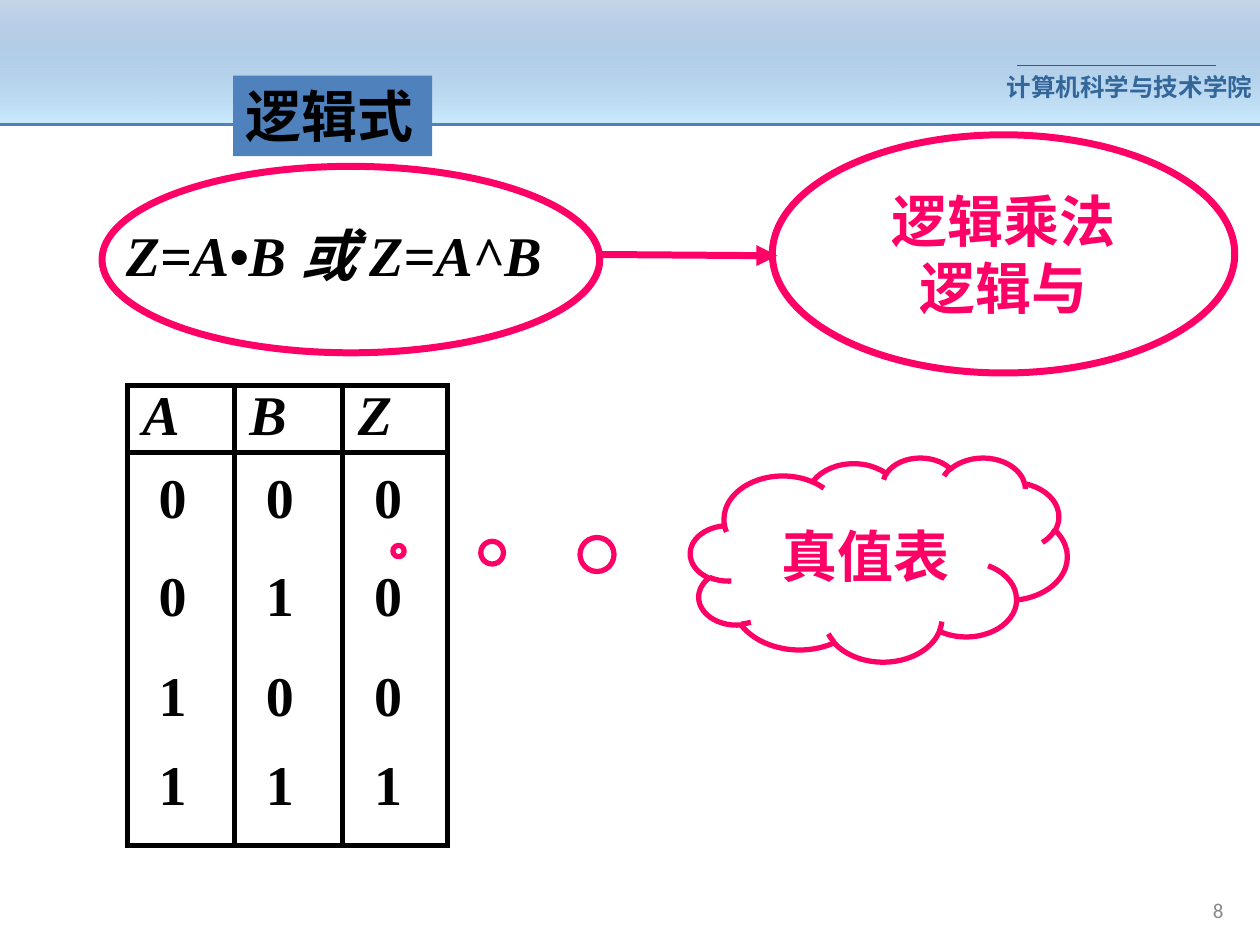
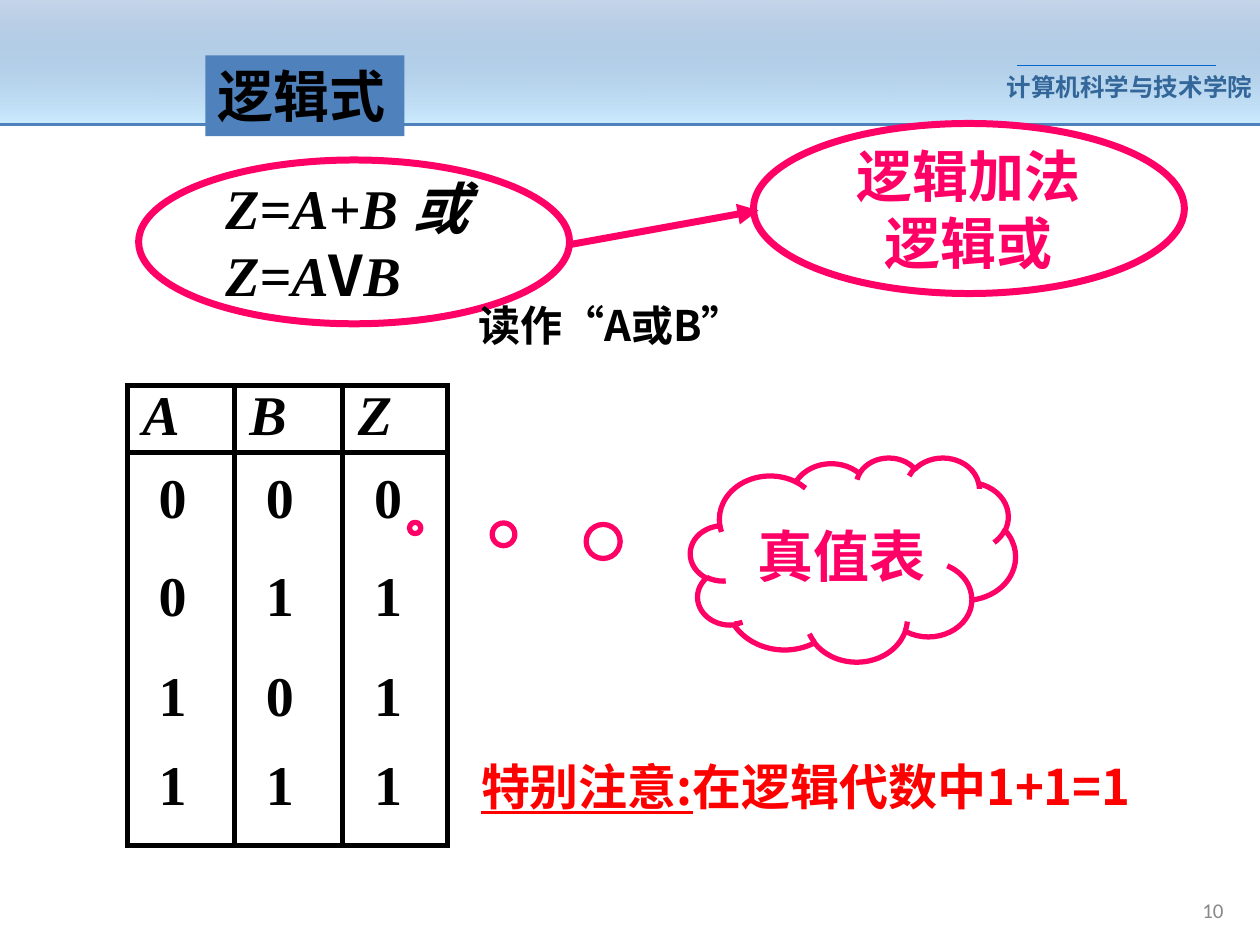
import pptx
import pptx.dml.color
import pptx.enum.shapes
import pptx.enum.text
import pptx.oxml
import pptx.oxml.ns
import pptx.util
from dataclasses import dataclass

Inches = pptx.util.Inches
Pt = pptx.util.Pt
SHAPE = pptx.enum.shapes.MSO_SHAPE
ALIGN = pptx.enum.text.PP_ALIGN
ANCHOR = pptx.enum.text.MSO_ANCHOR
NS = pptx.oxml.ns.nsdecls("a")


@dataclass(frozen=True)
class Theme:
    # Colours
    ink: str = "000000"
    pink: str = "FF0066"
    red: str = "FF0000"
    blue: str = "4F81BD"
    sky: str = "CCECFF"
    school: str = "336699"
    school_rule: str = "0066CC"
    muted: str = "898989"
    # Fonts
    serif: str = "Times New Roman"
    hans: str = "Noto Sans CJK SC"
    sans: str = "Arial"
    number: str = "Calibri"
    # Type sizes
    main: int = 32
    notice: int = 28
    reading: int = 24
    school_size: int = 14
    number_size: int = 12


THEME = Theme()


def rgb(value):
    return pptx.dml.color.RGBColor.from_string(value)


def xml(markup):
    return pptx.oxml.parse_xml(markup)


def write(frame, lines, *, size=THEME.main, font=THEME.serif, color=THEME.ink,
          bold=True, italic=False, align=ALIGN.LEFT, anchor=ANCHOR.TOP,
          wrap=True, inset=0.1):
    """Fill a frame; a line is a string or a list of (text, overrides) runs."""
    frame.word_wrap = wrap
    frame.auto_size = pptx.enum.text.MSO_AUTO_SIZE.NONE
    frame.vertical_anchor = anchor
    frame.margin_left = frame.margin_right = Inches(inset)
    frame.margin_top = frame.margin_bottom = Inches(0.05)
    for index, line in enumerate(lines):
        paragraph = frame.add_paragraph() if index else frame.paragraphs[0]
        paragraph.alignment = align
        for text, changes in [(line, {})] if isinstance(line, str) else line:
            run = paragraph.add_run()
            run.text = text
            run.font.size = Pt(size)
            run.font.bold = bold
            run.font.italic = changes.get("italic", italic)
            run.font.underline = changes.get("underline")
            run.font.color.rgb = rgb(color)
            run.font.name = changes.get("font", font)
            run.font._element.append(
                xml(f'<a:ea {NS} typeface="{THEME.hans}"/>'))


class Deck:
    def __init__(self, theme):
        self.theme = theme
        self.prs = pptx.Presentation()
        self.prs.slide_width, self.prs.slide_height = Inches(10), Inches(7.5)
        self.layout = self.prs.slide_layouts[5]
        self.slide = None

    def start(self, title, left, top, number):
        first = self.slide is None
        self.slide = self.prs.slides.add_slide(self.layout)
        if first:
            self.header()
        heading = self.slide.shapes.title
        heading.left, heading.top = Inches(left), Inches(top)
        heading.width, heading.height = Inches(1.58), Inches(0.64)
        heading.fill.solid()
        heading.fill.fore_color.rgb = rgb(self.theme.blue)
        write(heading.text_frame, [title])
        self.text([number], 7.6, 7.06, 2.21, 0.32, size=self.theme.number_size,
                  font=self.theme.number, color=self.theme.muted, bold=False,
                  align=ALIGN.RIGHT, anchor=ANCHOR.MIDDLE)

    def header(self):
        """Draw the band once and keep it on the shared layout."""
        t = self.theme
        band = self.shape(SHAPE.RECTANGLE, 0, 0, 10, 0.99)
        band.fill.gradient()
        band.fill.gradient_angle = 270
        for stop, color in zip(band.fill.gradient_stops, (t.blue, t.sky)):
            stop.color.rgb = rgb(color)
        top_color = band.element.find(".//" + pptx.oxml.ns.qn("a:srgbClr"))
        top_color.append(xml(f'<a:alpha {NS} val="32000"/>'))
        school = self.text(["计算机科学与技术学院"], 7.99, 0.52, 1.97, 0.34,
                           size=t.school_size, font=t.sans, color=t.school,
                           inset=0)
        school_rule = self.line(8.07, 0.52, 9.65, 0.52, t.school_rule, 0.75)
        band_edge = self.line(0, 0.99, 10, 0.99, t.blue, 1.5)
        for part in (band, school, school_rule, band_edge):
            self.layout.shapes.element.append(part.element)

    def text(self, lines, left, top, width, height, **fmt):
        box = self.slide.shapes.add_textbox(
            Inches(left), Inches(top), Inches(width), Inches(height))
        write(box.text_frame, lines, **fmt)
        return box

    def shape(self, kind, left, top, width, height, line=None, weight=4,
              lines=()):
        item = self.slide.shapes.add_shape(
            kind, Inches(left), Inches(top), Inches(width), Inches(height))
        item.shadow.inherit = False
        item.fill.background()
        if line:
            item.line.color.rgb = rgb(line)
            item.line.width = Pt(weight)
        else:
            item.line.fill.background()
        if lines:
            write(item.text_frame, lines, color=self.theme.pink, wrap=False,
                  align=ALIGN.CENTER, anchor=ANCHOR.MIDDLE)
        return item

    def line(self, x1, y1, x2, y2, color, weight, arrow=False):
        item = self.slide.shapes.add_connector(
            pptx.enum.shapes.MSO_CONNECTOR.STRAIGHT,
            Inches(x1), Inches(y1), Inches(x2), Inches(y2))
        item.line.color.rgb = rgb(color)
        item.line.width = Pt(weight)
        if arrow:
            item.line._get_or_add_ln().append(
                xml(f'<a:tailEnd {NS} type="triangle"/>'))
        item.element.spPr.append(xml(f'<a:effectLst {NS}/>'))
        return item

    def oval(self, *place, lines=()):
        return self.shape(SHAPE.OVAL, *place, self.theme.pink, lines=lines)

    def arrow(self, *ends):
        return self.line(*ends, self.theme.pink, 4, arrow=True)

    def cloud(self, width, pointer):
        callout = self.shape(SHAPE.CLOUD_CALLOUT, 5.48, 3.63, width, 1.62,
                             self.theme.pink, 3, ["真值表"])
        callout.adjustments[0], callout.adjustments[1] = pointer

    def borders(self, cell, sides):
        properties = cell._tc.get_or_add_tcPr()
        for side in "LRTB":
            paint = (f'<a:solidFill><a:srgbClr val="{self.theme.ink}"/>'
                     '</a:solidFill>' if side in sides else '<a:noFill/>')
            properties.append(
                xml(f'<a:ln{side} {NS} w="{Pt(3)}">{paint}</a:ln{side}>'))

    def truth_table(self, results):
        rows = ["ABZ"] + [f"{i // 2}{i % 2}{z}" for i, z in enumerate(results)]
        widths, heights = (0.85, 0.86, 0.83), (0.53, 0.78, 0.79, 0.71, 0.84)
        table = self.slide.shapes.add_table(
            len(rows), len(widths), Inches(1.01), Inches(3.06),
            Inches(sum(widths)), Inches(sum(heights))).table
        table.first_row = table.horz_banding = False
        for column, width in zip(table.columns, widths):
            column.width = Inches(width)
        for r, (values, height) in enumerate(zip(rows, heights)):
            table.rows[r].height = Inches(height)
            is_head = r == 0
            sides = "LR" + ("TB" if is_head else "")
            if r == 1:
                sides += "T"
            if r == len(rows) - 1:
                sides += "B"
            for c, value in enumerate(values):
                cell = table.cell(r, c)
                self.borders(cell, sides)
                cell.fill.background()
                write(cell.text_frame, [value], italic=is_head)
                cell.margin_left = Inches(0.12 if is_head else 0.25)
                cell.margin_top = Inches(0 if is_head else 0.13)
                cell.margin_right = cell.margin_bottom = 0


def logic_and(deck):
    deck.start("逻辑式", 1.85, 0.6, "8")
    # Formula and its name
    deck.text(["Z=A•B 或 Z=A^B"], 0.9, 1.7, 4.47, 0.64, italic=True)
    deck.oval(0.81, 1.32, 3.95, 1.48)
    deck.arrow(4.76, 2.02, 6.17, 2.03)
    deck.oval(6.13, 1.07, 3.67, 1.89, lines=["逻辑乘法", "逻辑与"])
    # Truth table
    deck.truth_table("0001")
    deck.cloud(2.99, (-1.275, -0.041))


def logic_or(deck):
    t = deck.theme
    deck.start("逻辑式", 1.63, 0.44, "10")
    # Formula and its name
    formula = [("Z=A+B 或 Z=A", {}), ("V", {"font": t.hans, "italic": False}),
               ("B", {})]
    deck.text([formula], 1.69, 1.33, 2.3, 1.17, italic=True)
    deck.oval(1.1, 1.27, 3.42, 1.3)
    deck.arrow(4.53, 1.94, 6.02, 1.67)
    deck.oval(5.98, 0.98, 3.42, 1.35, lines=["逻辑加法", "逻辑或"])
    # Truth table
    deck.truth_table("0111")
    deck.cloud(2.58, (-1.347, -0.154))
    # Notice and reading
    notice = [("特别注意:", {"underline": True}), ("在逻辑代数中1+1=1", {})]
    deck.text([notice], 3.72, 5.95, 5.8, 0.57, size=t.notice, font=t.hans,
              color=t.red, anchor=ANCHOR.MIDDLE)
    reading = [("读作", {}), ("“", {"font": t.sans}), ("A或B", {}),
               ("”", {"font": t.sans})]
    deck.text([reading], 3.25, 2.33, 3.2, 0.5, size=t.reading, font=t.hans,
              align=ALIGN.CENTER)


def main():
    deck = Deck(THEME)
    logic_and(deck)
    logic_or(deck)
    deck.prs.save("out.pptx")


if __name__ == "__main__":
    main()
